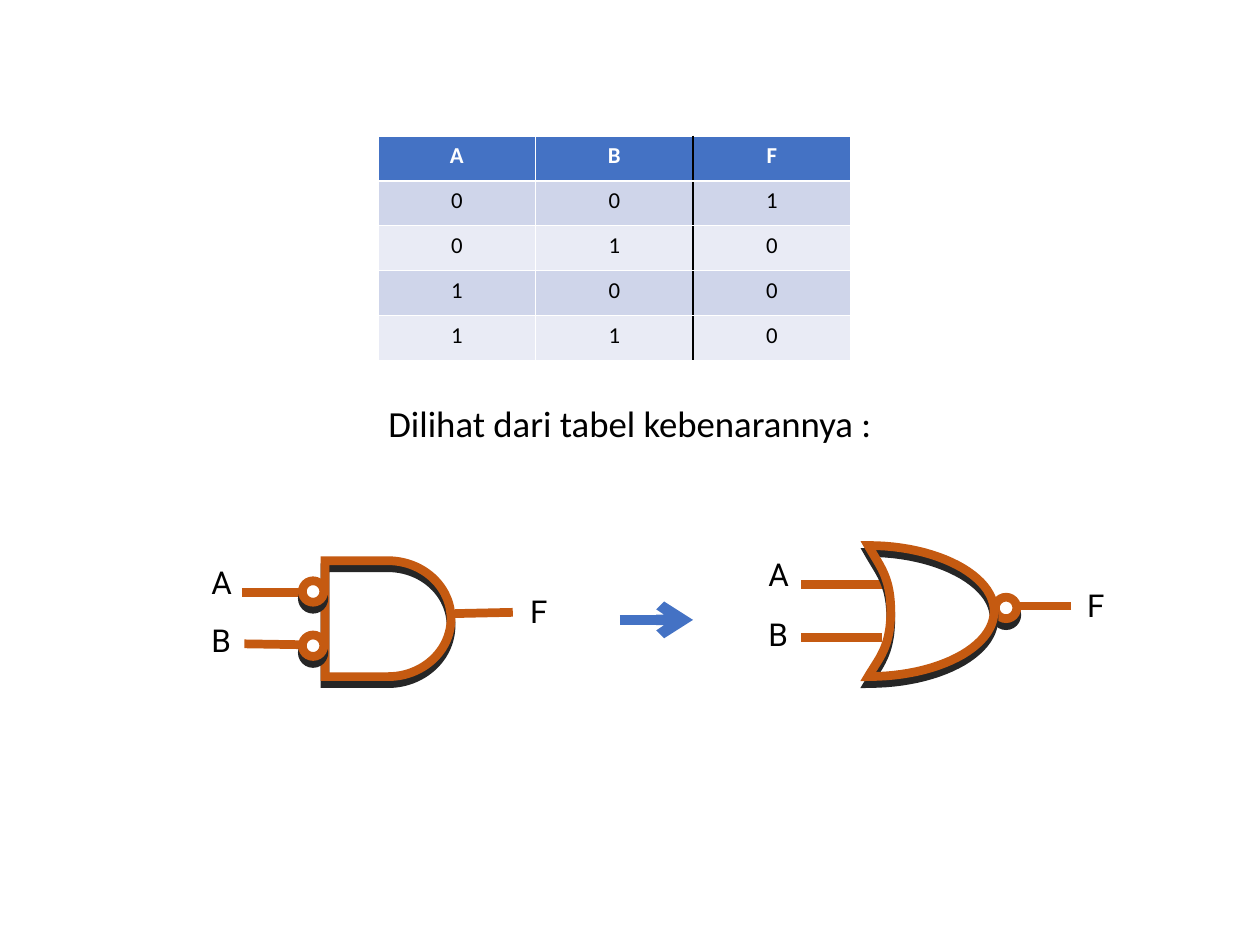
"""Build a slide comparing a bubbled AND gate with a NOR gate and its truth table."""
from dataclasses import dataclass

import pptx
import pptx.dml.color
import pptx.enum.shapes
import pptx.enum.text
import pptx.oxml
import pptx.oxml.ns
import pptx.util

Inches = pptx.util.Inches
Pt = pptx.util.Pt
SHAPE = pptx.enum.shapes.MSO_SHAPE
CENTER = pptx.enum.text.PP_ALIGN.CENTER
qn = pptx.oxml.ns.qn


@dataclass(frozen=True)
class Theme:
    """Colours, fonts and sizes of the slide."""
    white: str = "FFFFFF"
    black: str = "000000"
    accent: str = "4472C4"
    band_dark: str = "CFD5EA"
    band_light: str = "E9EBF5"
    gate: str = "C55A11"
    shadow: str = "262626"
    body_font: str = "Calibri"
    label_font: str = "Roboto"
    caption_size: float = 21
    cell_size: float = 13
    label_size: float = 18
    gate_width: float = 5
    arrow_width: float = 6
    thin_border: float = 0.45
    thick_border: float = 1.47


THEME = Theme()
TRUTH = ("ABF", "001", "010", "100", "110")
BUBBLE = 0.17


def rgb(color):
    """Return a colour object for a hex string."""
    return pptx.dml.color.RGBColor.from_string(color)


def append_xml(parent, tag, attributes="", children=""):
    """Append one DrawingML element to a parent element."""
    namespace = pptx.oxml.ns.nsdecls("a")
    parent.append(pptx.oxml.parse_xml(
        f"<a:{tag} {namespace} {attributes}>{children}</a:{tag}>"))


def add_run(paragraph, text, font, size, color, bold=False):
    """Add one formatted run to a paragraph."""
    run = paragraph.add_run()
    run.text = text
    run.font.name = font
    run.font.size = Pt(size)
    run.font.bold = bold
    run.font.color.rgb = rgb(color)


def add_wire(shapes, start, end, color=THEME.gate, width=THEME.gate_width):
    """Draw a straight wire between two points and return it."""
    wire = shapes.add_connector(
        pptx.enum.shapes.MSO_CONNECTOR.STRAIGHT,
        *(Inches(value) for value in (*start, *end)))
    wire.line.color.rgb = rgb(color)
    wire.line.width = Pt(width)
    append_xml(wire._element.spPr, "effectLst")
    return wire


def style_gate(part, fill=None):
    """Give a gate part its outline, hard shadow and optional fill."""
    if fill:
        part.fill.solid()
        part.fill.fore_color.rgb = rgb(fill)
    else:
        part.fill.background()
    part.line.color.rgb = rgb(THEME.gate)
    part.line.width = Pt(THEME.gate_width)
    part.shadow.inherit = False
    properties = part._element.spPr
    append_xml(properties.find(qn("a:ln")), "miter", 'lim="800000"')
    append_xml(properties.find(qn("a:effectLst")), "outerShdw",
               f'blurRad="0" dist="{Pt(4)}" dir="5400000" algn="t" rotWithShape="0"',
               f'<a:srgbClr val="{THEME.shadow}"/>')


def add_bubble(shapes, left, top):
    """Add an inversion bubble."""
    bubble = shapes.add_shape(SHAPE.OVAL, Inches(left), Inches(top),
                              Inches(BUBBLE), Inches(BUBBLE))
    style_gate(bubble, THEME.white)


def add_label(shapes, text, left, top, width=0.36):
    """Add a signal name."""
    label = shapes.add_textbox(Inches(left), Inches(top), Inches(width), Inches(0.4))
    label.text_frame.word_wrap = False
    add_run(label.text_frame.paragraphs[0], text,
            THEME.label_font, THEME.label_size, THEME.black)


def bezier(start, first, second, end, steps=24):
    """Return points along a cubic curve, without its start."""
    points = []
    for step in range(1, steps + 1):
        t = step / steps
        weights = ((1 - t) ** 3, 3 * t * (1 - t) ** 2, 3 * t * t * (1 - t), t ** 3)
        points.append(tuple(
            sum(weight * value for weight, value in zip(weights, axis))
            for axis in zip(start, first, second, end)))
    return points


def add_or_body(shapes, left, top, width, height):
    """Draw the curved OR outline in its box."""
    right, middle, bottom = left + width, top + height / 2, top + height
    hollow = left + 0.18
    corner, back, upper, nose = (
        (left, bottom), (hollow, middle), (left, top), (right, middle))
    curves = (
        (corner, (left + 0.09, bottom - 0.15), (hollow, bottom - 0.24), back),
        (back, (hollow, top + 0.25), (left + 0.09, top + 0.16), upper),
        (upper, (left + 0.55, top), (right, top + 0.24), nose),
        (nose, (right, bottom - 0.23), (left + 0.55, bottom), corner),
    )
    outline = shapes.build_freeform(Inches(left), Inches(bottom))
    for curve in curves:
        outline.add_line_segments(
            [(Inches(x), Inches(y)) for x, y in bezier(*curve)], close=False)
    outline.add_line_segments([], close=True)
    style_gate(outline.convert_to_shape())


def add_bubbled_and(slide, left, top):
    """Draw the AND gate with inverted inputs from its top left corner."""
    shapes = slide.shapes.add_group_shape().shapes
    body = shapes.add_shape(SHAPE.FLOWCHART_DELAY, Inches(left + 1),
                            Inches(top + 0.03), Inches(1), Inches(0.92))
    style_gate(body)
    add_wire(shapes, (left + 2.49, top + 0.44), (left + 2.03, top + 0.45))
    add_wire(shapes, (left + 0.34, top + 0.28), (left + 1, top + 0.28))
    add_wire(shapes, (left + 0.36, top + 0.69), (left + 1, top + 0.7))
    for name, label_top, bubble_top in (("A", 0, 0.19), ("B", 0.46, 0.62)):
        add_label(shapes, name, left, top + label_top)
        add_bubble(shapes, left + 0.82, top + bubble_top)
    add_label(shapes, "F", left + 2.53, top + 0.23, 0.33)


def add_nor(slide, left, top):
    """Draw the NOR gate from its top left corner."""
    shapes = slide.shapes.add_group_shape().shapes
    add_wire(shapes, (left + 2.5, top + 0.48), (left + 1.9, top + 0.48))
    for name, label_top, wire_top, wire_end in (
            ("A", 0.03, 0.31, 1.03), ("B", 0.5, 0.73, 1)):
        add_wire(shapes, (left + 0.36, top + wire_top), (left + wire_end, top + wire_top))
        add_label(shapes, name, left, top + label_top)
    add_bubble(shapes, left + 1.9, top + 0.41)
    add_label(shapes, "F", left + 2.53, top + 0.27, 0.33)
    add_or_body(shapes, left + 0.89, top, 1, 1.04)


def add_borders(cell, row, column):
    """Set the four borders of a truth table cell."""
    thin, thick = (THEME.white, THEME.thin_border), (THEME.white, THEME.thick_border)
    divider = (THEME.black, THEME.thick_border)
    borders = {
        "lnL": divider if column == 2 else thin,
        "lnR": divider if column == 1 else thin,
        "lnT": thick if row == 1 else thin,
        "lnB": thick if row == 0 else thin,
    }
    properties = cell._tc.get_or_add_tcPr()
    for side, (color, width) in borders.items():
        append_xml(properties, side, f'w="{Pt(width)}"',
                   f'<a:solidFill><a:srgbClr val="{color}"/></a:solidFill>')


def add_truth_table(slide, left, top, width, height):
    """Add the truth table in its box."""
    table = slide.shapes.add_table(
        len(TRUTH), len(TRUTH[0]), Inches(left), Inches(top),
        Inches(width), Inches(height)).table
    for row, values in enumerate(TRUTH):
        header = row == 0
        band = THEME.band_dark if row % 2 else THEME.band_light
        for column, value in enumerate(values):
            cell = table.cell(row, column)
            add_borders(cell, row, column)
            cell.fill.solid()
            cell.fill.fore_color.rgb = rgb(THEME.accent if header else band)
            paragraph = cell.text_frame.paragraphs[0]
            paragraph.alignment = CENTER
            add_run(paragraph, value, THEME.body_font, THEME.cell_size,
                    THEME.white if header else THEME.black, header)


def add_caption(slide, left, top, width, height):
    """Add the centred sentence below the table."""
    caption = slide.shapes.add_textbox(
        Inches(left), Inches(top), Inches(width), Inches(height))
    caption.text_frame.word_wrap = True
    paragraph = caption.text_frame.paragraphs[0]
    paragraph.alignment = CENTER
    paragraph.line_spacing = 0.9
    add_run(paragraph, "Dilihat dari tabel kebenarannya :",
            THEME.body_font, THEME.caption_size, THEME.black)


def add_arrow(slide, left, top, width):
    """Draw the arrow from one gate to the other."""
    arrow = add_wire(slide.shapes, (left, top), (left + width, top),
                     THEME.accent, THEME.arrow_width)
    append_xml(arrow._element.spPr.find(qn("a:ln")), "tailEnd", 'type="arrow"')


def main():
    """Build and save the slide."""
    deck = pptx.Presentation()
    deck.slide_width, deck.slide_height = Inches(10), Inches(7.5)
    slide = deck.slides.add_slide(deck.slide_layouts.get_by_name("Blank"))
    add_caption(slide, 0.5, 3.17, 9, 3.63)
    add_truth_table(slide, 3, 1.08, 3.75, 1.78)
    add_arrow(slide, 4.92, 4.92, 0.58)
    add_bubbled_and(slide, 1.58, 4.42)
    add_nor(slide, 6, 4.33)
    deck.save("out.pptx")


if __name__ == "__main__":
    main()
